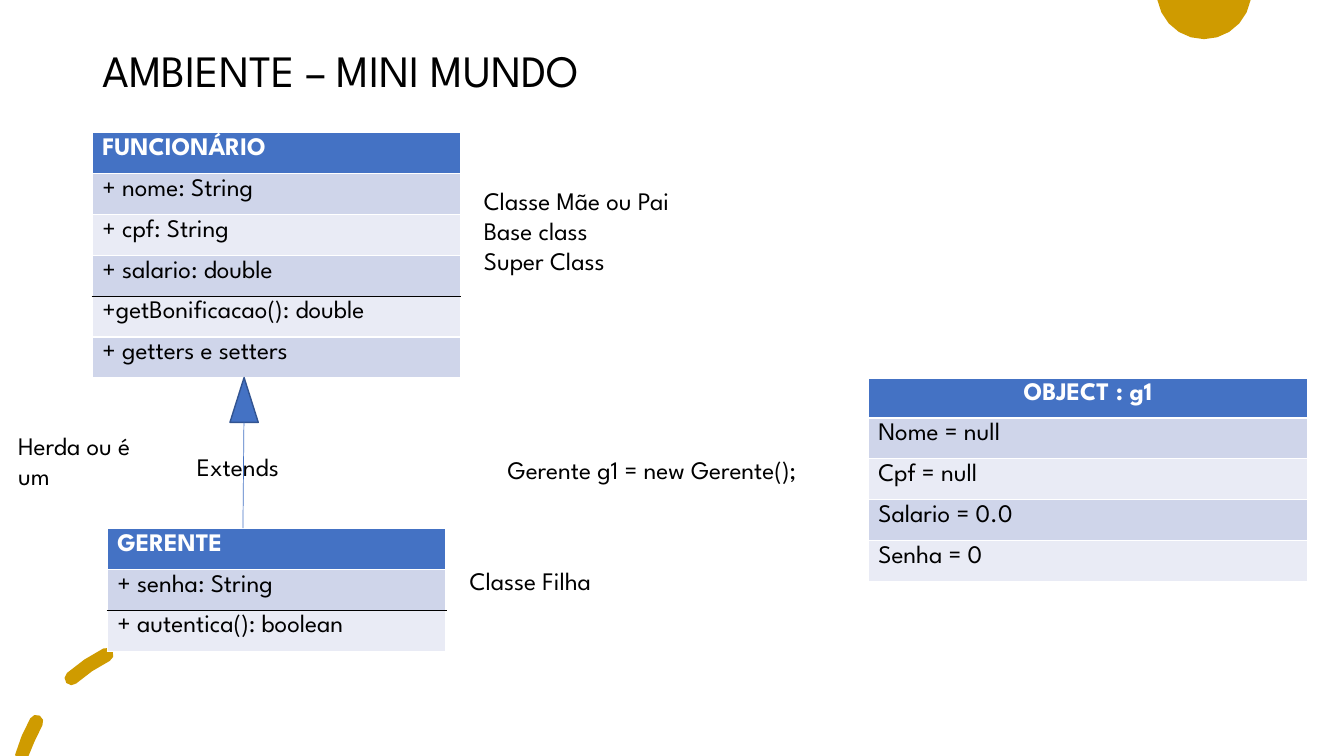
import math

from lxml import etree
from pptx import Presentation
from pptx.dml.color import RGBColor
from pptx.enum.shapes import MSO_CONNECTOR, MSO_SHAPE
from pptx.enum.text import MSO_ANCHOR, MSO_AUTO_SIZE, PP_ALIGN
from pptx.oxml.ns import qn
from pptx.util import Inches, Pt

WIDTH, HEIGHT = Inches(13.33), Inches(7.5)
UNIT = HEIGHT / 54  # square grid: 96 columns by 54 rows
TABLE_ROW = 2.92

FONT = "League Spartan"
BLACK = RGBColor(0x00, 0x00, 0x00)
WHITE = RGBColor(0xFF, 0xFF, 0xFF)
GOLD = RGBColor(0xCF, 0x9B, 0x00)
BLUE = RGBColor(0x44, 0x72, 0xC4)
DARK_BLUE = RGBColor(0x32, 0x54, 0x91)
BANDS = [RGBColor(0xE9, 0xEB, 0xF5), RGBColor(0xCF, 0xD5, 0xEA)]

LEFT, CENTER = PP_ALIGN.LEFT, PP_ALIGN.CENTER
TOP, MIDDLE = MSO_ANCHOR.TOP, MSO_ANCHOR.MIDDLE
GROW, FIXED = MSO_AUTO_SIZE.SHAPE_TO_FIT_TEXT, MSO_AUTO_SIZE.NONE


def grid(*lengths):
    return [round(length * UNIT) for length in lengths]


def arc(x, y, radius, start, end, steps):
    """Points in grid units, kept on the slide; 0 degrees is left, 90 is up."""
    angles = [math.radians(start + (end - start) * i / steps) for i in range(steps + 1)]
    points = [(x - radius * math.cos(a), y - radius * math.sin(a)) for a in angles]
    return [grid(px, min(max(py, 0), 54)) for px, py in points]


presentation = Presentation()
presentation.slide_width, presentation.slide_height = WIDTH, HEIGHT
slide = presentation.slides.add_slide(presentation.slide_layouts[6])
shapes = slide.shapes

# Gold decoration: a disc cut by the top edge and a dashed ring cut by the bottom edge
disc = [arc(85.98, -0.58, 3.38, 189.9, 350.1, 10)]
RING_X, RING_Y, RING_RADIUS, HALF_STROKE = 12.89, 57.31, 11.79, 0.5
ring = []
for start, end in [(16, 29.2), (48.7, 63.4), (82.6, 97.7)]:
    middle = (start + end) / 2
    (start_x, start_y), (end_x, end_y) = [
        (RING_X - RING_RADIUS * math.cos(a), RING_Y - RING_RADIUS * math.sin(a))
        for a in (math.radians(start), math.radians(end))]
    ring.append(
        arc(start_x, start_y, HALF_STROKE, start + 180, start + 360, 4)
        + arc(RING_X, RING_Y, RING_RADIUS + HALF_STROKE, middle, middle, 1)[:1]
        + arc(end_x, end_y, HALF_STROKE, end, end + 180, 4)
        + arc(RING_X, RING_Y, RING_RADIUS - HALF_STROKE, middle, middle, 1)[:1]
    )
for contours in (disc, ring):
    builder = shapes.build_freeform(*contours[0][0])
    for index, points in enumerate(contours):
        if index:
            builder.move_to(*points[0])
        builder.add_line_segments(points[1:], close=True)
    decoration = builder.convert_to_shape()
    decoration.shadow.inherit = False
    decoration.fill.solid()
    decoration.fill.fore_color.rgb = GOLD
    decoration.line.fill.background()

# Class and object tables: left, top, width, header height and alignment, row above the rule, rows
tables = [
    (6.59, 9.48, 26.28, TABLE_ROW, LEFT, 3, [
        "FUNCIONÁRIO", "+ nome: String", "+ cpf: String", "+ salario: double",
        "+getBonificacao(): double", "+ getters e setters"]),
    (7.66, 37.75, 24.19, TABLE_ROW, LEFT, 1, [
        "GERENTE", "+ senha: String", "+ autentica(): boolean"]),
    (62, 27, 31.39, 2.86, CENTER, None, [
        "OBJECT : g1", "Nome = null", "Cpf = null", "Salario = 0.0", "Senha = 0"]),
]
for left, top, width, header_height, header_alignment, ruled_row, rows in tables:
    height = header_height + TABLE_ROW * (len(rows) - 1)
    table = shapes.add_table(len(rows), 1, *grid(left, top, width, height)).table
    for index, text in enumerate(rows):
        is_header = index == 0
        table.rows[index].height = grid(header_height if is_header else TABLE_ROW)[0]
        cell = table.cell(index, 0)
        if ruled_row is not None and index in (ruled_row, ruled_row + 1):
            side = "a:lnB" if index == ruled_row else "a:lnT"
            properties = cell._tc.get_or_add_tcPr()
            border = etree.SubElement(properties, qn(side), w=str(Pt(1)))
            fill = etree.SubElement(border, qn("a:solidFill"))
            etree.SubElement(fill, qn("a:srgbClr"), val=str(BLACK))
        cell.fill.solid()
        cell.fill.fore_color.rgb = BLUE if is_header else BANDS[index % 2]
        paragraph = cell.text_frame.paragraphs[0]
        paragraph.alignment = header_alignment if is_header else LEFT
        run = paragraph.add_run()
        run.text = text
        for name, value in {"name": FONT, "size": Pt(18), "bold": is_header}.items():
            setattr(run.font, name, value)
        run.font.color.rgb = WHITE if is_header else BLACK

# Inheritance arrow
arrowhead = shapes.add_shape(MSO_SHAPE.ISOSCELES_TRIANGLE, *grid(16.42, 26.97, 2.02, 3.2))
arrowhead.shadow.inherit = False
arrowhead.fill.solid()
arrowhead.fill.fore_color.rgb = BLUE
arrowhead.line.color.rgb = DARK_BLUE
arrowhead.line.width = Pt(1)

stem = shapes.add_connector(MSO_CONNECTOR.STRAIGHT, *grid(17.42, 30.17, 17.35, 37.73))
stem.line.color.rgb = BLUE
stem.line.width = Pt(0.5)
etree.SubElement(stem._element.spPr, qn("a:effectLst"))

# Title and labels: box, size, line spacing, frame format, lines
label = {"word_wrap": True, "auto_size": GROW, "vertical_anchor": TOP}
heading = {"word_wrap": True, "auto_size": FIXED, "vertical_anchor": MIDDLE}
unwrapped = {**label, "word_wrap": False}
texts = [
    ((6.62, 0, 82.8, 10.44), 32, 0.9, heading, ["AMBIENTE – MINI MUNDO"]),
    ((35.55, 32.08, 28.08, 2.88), 18, 1, label, ["Gerente g1 = new Gerente();"]),
    ((13.36, 31.9, 8.14, 2.88), 18, 1, unwrapped, ["Extends"]),
    ((33.84, 12.86, 18.14, 7.27), 18, 1, label,
     ["Classe Mãe ou Pai", "Base class", "Super Class"]),
    ((32.83, 40.03, 18.14, 2.88), 18, 1, label, ["Classe Filha"]),
    ((0.58, 30.38, 10.3, 5.11), 18, 1, label, ["Herda ou é um"]),
]
for box, size, spacing, frame_format, lines in texts:
    frame = shapes.add_textbox(*grid(*box)).text_frame
    for name, value in frame_format.items():
        setattr(frame, name, value)
    for index, line in enumerate(lines):
        paragraph = frame.add_paragraph() if index else frame.paragraphs[0]
        paragraph.line_spacing = spacing
        run = paragraph.add_run()
        run.text = line
        for name, value in {"name": FONT, "size": Pt(size)}.items():
            setattr(run.font, name, value)
        run.font.color.rgb = BLACK

presentation.save("out.pptx")
